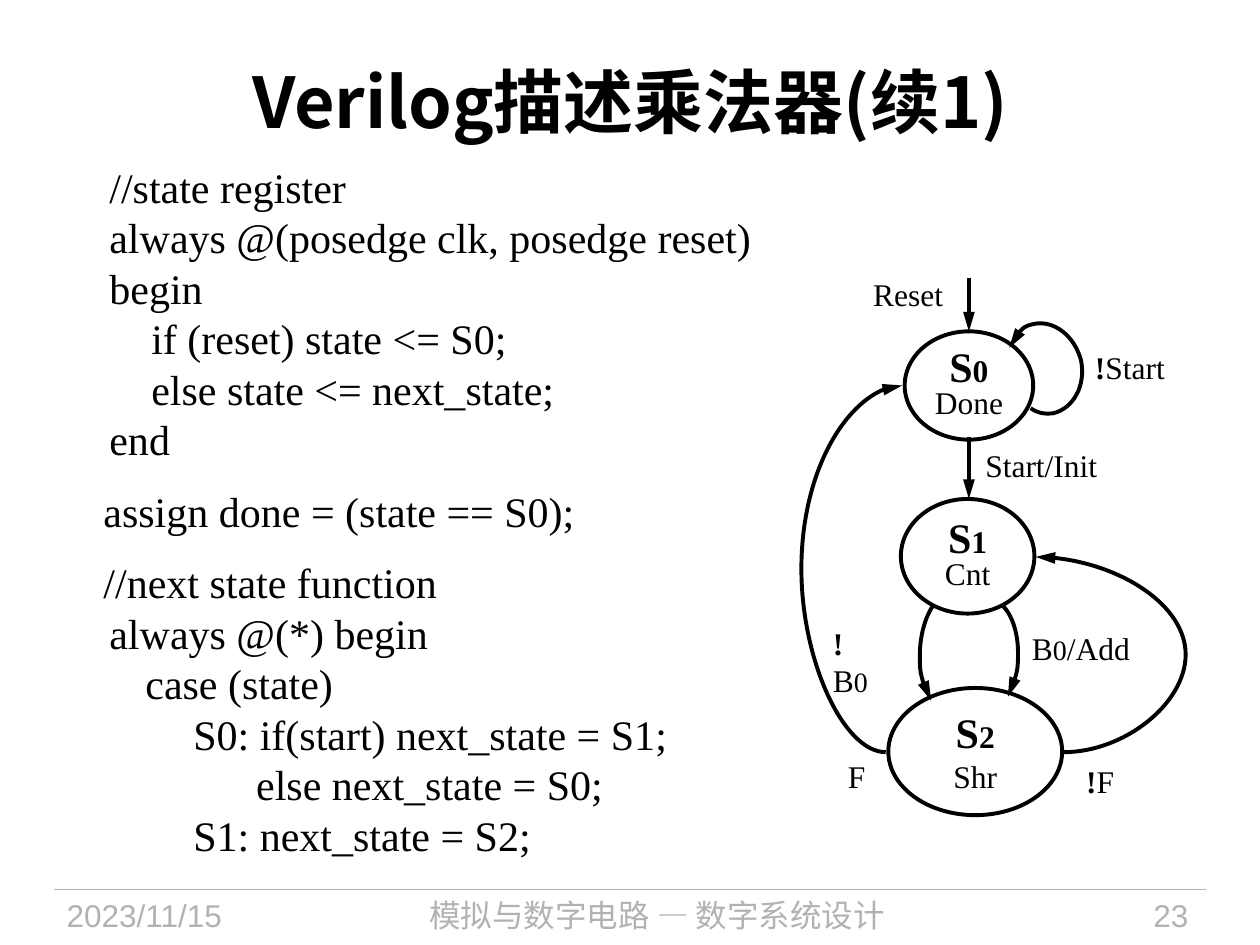
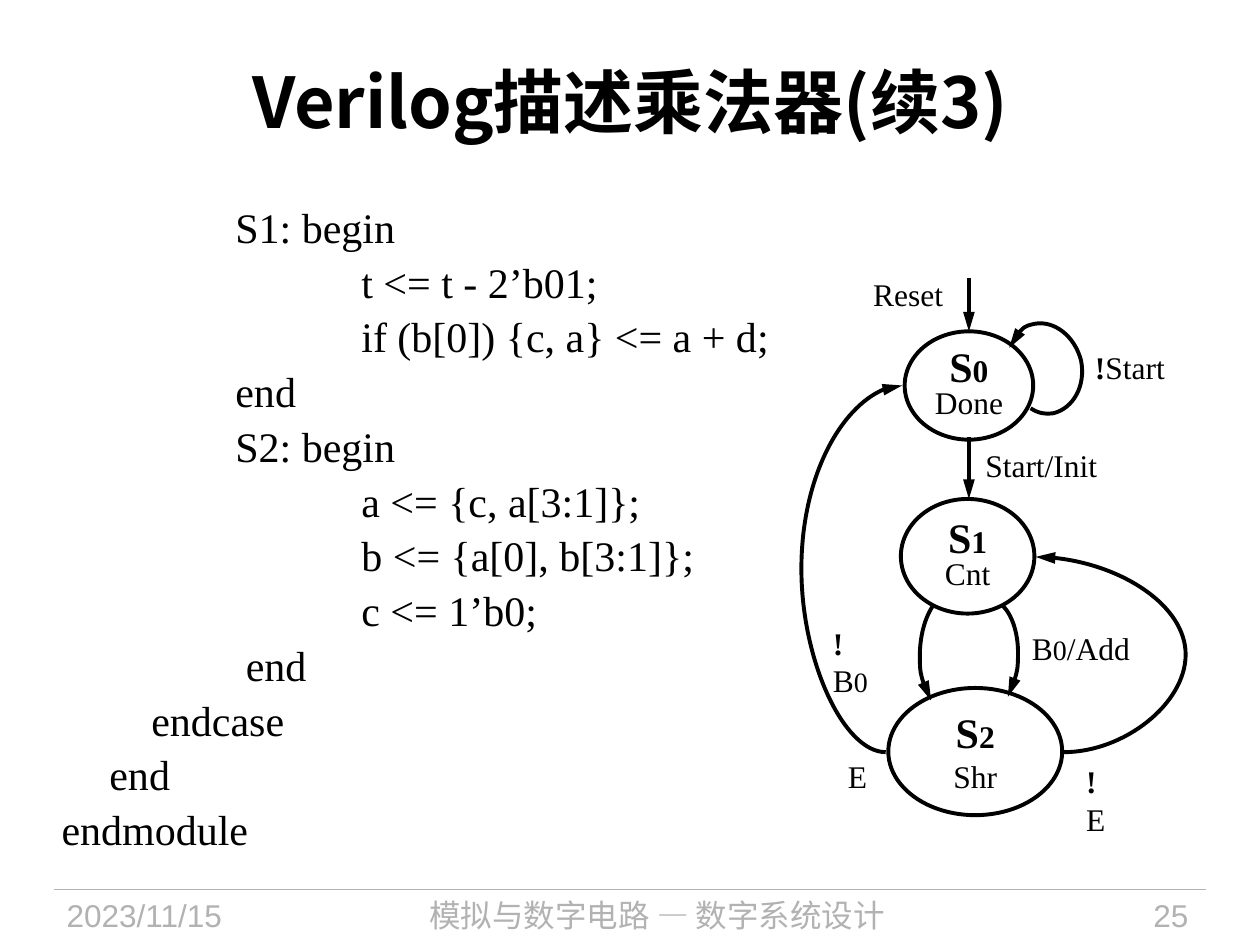
import lxml.etree
import pptx
import pptx.dml.color
import pptx.enum.shapes
import pptx.enum.text
import pptx.oxml.ns
import pptx.util

Inches = pptx.util.Inches
Pt = pptx.util.Pt
qn = pptx.oxml.ns.qn
ALIGN = pptx.enum.text.PP_ALIGN
ANCHOR = pptx.enum.text.MSO_ANCHOR
CONNECTOR = pptx.enum.shapes.MSO_CONNECTOR

BLACK, GREY = "000000", "B2B2B2"
SERIF, SANS, CHINESE = "Times New Roman", "Arial", "Noto Sans CJK SC"
LINE_PITCH = 28.85
LEVEL_INDENTS = (0, 0.38, 1.38, 2.38)

SLIDES = [
    {
        "title": "Verilog描述乘法器(续1)",
        "number": "23",
        "exit": "F",
        "code_at": (0.39, 1.23, 9, 5.83),
        "space_after": 0,
        "code": [
            (1, "//state register"),
            (1, "always @(posedge clk, posedge reset)"),
            (1, "begin"),
            (1, "    if (reset) state <= S0;"),
            (1, "    else state <= next_state;"),
            (1, "end"),
            (0, "    assign done = (state == S0);"),
            (0, "    //next state function"),
            (1, "always @(*) begin"),
            (0, "        case (state)"),
            (1, "        S0: if(start) next_state = S1;"),
            (1, "              else next_state = S0;"),
            (1, "        S1: next_state = S2;"),
        ],
        "block_starts": {6, 7},
    },
    {
        "title": "Verilog描述乘法器(续3)",
        "number": "25",
        "exit": "E",
        "code_at": (0.39, 1.55, 9, 5.5),
        "space_after": 2.4,
        "code": [
            (2, "S1: begin"),
            (3, "t <= t - 2’b01;"),
            (3, "if (b[0]) {c, a} <= a + d;"),
            (2, "end"),
            (2, "S2: begin"),
            (3, "a <= {c, a[3:1]};"),
            (3, "b <= {a[0], b[3:1]};"),
            (3, "c <= 1’b0;"),
            (2, " end"),
            (1, "    endcase"),
            (1, "end"),
            (0, "endmodule"),
        ],
        "block_starts": set(),
    },
]

FOOTERS = [
    ((0.43, 7.06, 1.88, 0.44), "2023/11/15", SANS, ALIGN.LEFT),
    ((2.4, 7.06, 5.63, 0.44), "模拟与数字电路 — 数字系统设计", CHINESE, ALIGN.CENTER),
    ((8.2, 7.06, 1.33, 0.44), "{number}", SANS, ALIGN.RIGHT),
]

STATES = [
    ((7.18, 2.63, 1.02, 0.86), "0", "Done", ANCHOR.MIDDLE, 0.8),
    ((7.15, 3.96, 1.06, 0.91), "1", "Cnt", ANCHOR.MIDDLE, 0.8),
    ((7.05, 5.46, 1.38, 1.01), "2", "Shr", ANCHOR.TOP, 1.0),
]

STRAIGHT_ARROWS = [((7.69, 2.21), (7.69, 2.63)), ((7.69, 3.47), (7.69, 3.96))]

BENT_ARROWS = [
    ((8.44, 5.97), (8.22, 4.42), 9.41),
    ((7.03, 5.97), (7.16, 3.06), 6.36),
]

CURVED_ARROWS = [
    [(8.18, 3.24),
     (8.24, 3.28), (8.3, 3.29), (8.36, 3.28),
     (8.52, 3.24), (8.62, 3.06), (8.58, 2.86),
     (8.53, 2.67), (8.37, 2.54), (8.21, 2.57),
     (8.12, 2.59), (8.05, 2.66), (8.01, 2.76)],
    [(7.41, 4.8),
     (7.34, 4.9), (7.3, 5.05), (7.3, 5.21),
     (7.3, 5.34), (7.33, 5.46), (7.39, 5.56)],
    [(7.95, 4.8),
     (8.03, 4.87), (8.08, 5.02), (8.08, 5.18),
     (8.08, 5.32), (8.05, 5.44), (8, 5.53)],
]

LABELS = [
    ((6.93, 2.18, 0.56, 0.3), [("Reset", 18, False)]),
    ((8.69, 2.76, 0.62, 0.3), [("!", 18, True), ("Start", 18, False)]),
    ((7.82, 3.54, 0.98, 0.33), [("Start/Init", 18, False)]),
    ((6.61, 4.95, 0.36, 0.3), [("!", 18, True), ("B", 18, False), ("0", 16, False)]),
    ((8.19, 4.99, 0.78, 0.3), [("B", 18, False), ("0", 16, False), ("/Add", 18, False)]),
    ((6.73, 6.01, 0.14, 0.3), [("{exit}", 18, False)]),
    ((8.62, 6.05, 0.23, 0.3), [("!", 18, True), ("{exit}", 18, False)]),
]


def rgb(value):
    return pptx.dml.color.RGBColor.from_string(value)


def apply(target, values):
    for name, value in values.items():
        setattr(target, name, value)


def sub(parent, tag, **attributes):
    return lxml.etree.SubElement(parent, qn(tag), **attributes)


def add_span(para, text, size, font=SERIF, color=BLACK, bold=False):
    span = para.add_run()
    span.text = text
    apply(span.font, {"size": Pt(size), "name": font, "bold": bold})
    span.font.color.rgb = rgb(color)
    if font == CHINESE:
        sub(span.font._element, "a:ea", typeface=font)


def remove_margins(frame):
    for side in ("left", "right", "top", "bottom"):
        setattr(frame, f"margin_{side}", 0)
    frame.word_wrap = False


def add_box(page, place):
    box = page.shapes.add_textbox(*map(Inches, place))
    box.text_frame.word_wrap = True
    return box.text_frame


def add_line_of_text(page, place, text, size, font, color, align, bold=False):
    frame = add_box(page, place)
    frame.vertical_anchor = ANCHOR.MIDDLE if bold else ANCHOR.TOP
    frame.paragraphs[0].alignment = align
    add_span(frame.paragraphs[0], text, size, font, color, bold)


def style_line(shape, color=BLACK, width=2.25, arrow=True):
    shape.line.color.rgb = rgb(color)
    shape.line.width = Pt(width)
    if arrow:
        sub(shape.line._get_or_add_ln(), "a:tailEnd", type="triangle", w="med", len="lg")


def add_line(page, start, end, kind=CONNECTOR.STRAIGHT, **style):
    line = page.shapes.add_connector(kind, *map(Inches, start + end))
    style_line(line, **style)
    sub(line._element.spPr, "a:effectLst")
    return line


def add_bent_arrow(page, start, end, bend):
    line = add_line(page, start, end, CONNECTOR.CURVE)
    geometry = line._element.spPr.find(qn("a:prstGeom"))
    guides = geometry.find(qn("a:avLst"))
    if guides is None:
        guides = sub(geometry, "a:avLst")
    ratio = round((bend - start[0]) / (end[0] - start[0]) * 100000)
    sub(guides, "a:gd", name="adj1", fmla=f"val {ratio}")


def bend_segments(shape):
    segments = list(shape._element.iter(qn("a:lnTo")))
    for first in range(0, len(segments), 3):
        curve = lxml.etree.Element(qn("a:cubicBezTo"))
        segments[first].addprevious(curve)
        for segment in segments[first:first + 3]:
            curve.append(segment[0])
            segment.getparent().remove(segment)


def add_curved_arrow(page, knots):
    points = [tuple(map(Inches, knot)) for knot in knots]
    builder = page.shapes.build_freeform(*points[0], scale=1.0)
    builder.add_line_segments(points[1:], close=False)
    arrow = builder.convert_to_shape()
    bend_segments(arrow)
    arrow.fill.background()
    arrow.shadow.inherit = False
    style_line(arrow)


def add_state(page, place, index, action, anchor, spacing):
    state = page.shapes.add_shape(
        pptx.enum.shapes.MSO_SHAPE.OVAL, *map(Inches, place))
    state.fill.background()
    state.shadow.inherit = False
    style_line(state, arrow=False)
    frame = state.text_frame
    remove_margins(frame)
    frame.vertical_anchor = anchor
    name, output = frame.paragraphs[0], frame.add_paragraph()
    for para in (name, output):
        apply(para, {"alignment": ALIGN.CENTER, "line_spacing": spacing})
    add_span(name, "S", 24, bold=True)
    add_span(name, index, 18, bold=True)
    add_span(output, action, 18)


def add_code(page, content):
    frame = add_box(page, content["code_at"])
    for row, (level, text) in enumerate(content["code"]):
        para = frame.add_paragraph() if row else frame.paragraphs[0]
        apply(para, {
            "line_spacing": Pt(LINE_PITCH),
            "space_before": Pt(12 if row in content["block_starts"] else 0),
            "space_after": Pt(content["space_after"]),
        })
        properties = para._p.get_or_add_pPr()
        properties.set("marL", str(Inches(LEVEL_INDENTS[level])))
        properties.set("indent", "0")
        add_span(para, text, 24)


def add_label(page, place, spans, exit_flag):
    frame = add_box(page, place)
    remove_margins(frame)
    frame.auto_size = pptx.enum.text.MSO_AUTO_SIZE.SHAPE_TO_FIT_TEXT
    for text, size, bold in spans:
        add_span(frame.paragraphs[0], text.format(exit=exit_flag), size, bold=bold)


def add_state_diagram(page, exit_flag):
    for state in STATES:
        add_state(page, *state)
    for start, end in STRAIGHT_ARROWS:
        add_line(page, start, end)
    for arrow in BENT_ARROWS:
        add_bent_arrow(page, *arrow)
    for knots in CURVED_ARROWS:
        add_curved_arrow(page, knots)
    for place, spans in LABELS:
        add_label(page, place, spans, exit_flag)


def add_page(deck, content):
    page = deck.slides.add_slide(deck.slide_layouts[6])
    add_line(page, (0.43, 7.06), (9.57, 7.06), color=GREY, width=0.75, arrow=False)
    add_line_of_text(page, (0.5, 0.17, 9, 1.25), content["title"], 40, CHINESE,
                     BLACK, ALIGN.CENTER, bold=True)
    add_code(page, content)
    add_state_diagram(page, content["exit"])
    for place, text, font, align in FOOTERS:
        text = text.format(number=content["number"])
        add_line_of_text(page, place, text, 18, font, GREY, align)


def main():
    deck = pptx.Presentation()
    deck.slide_width, deck.slide_height = Inches(10), Inches(7.5)
    for content in SLIDES:
        add_page(deck, content)
    deck.save("out.pptx")


if __name__ == "__main__":
    main()
